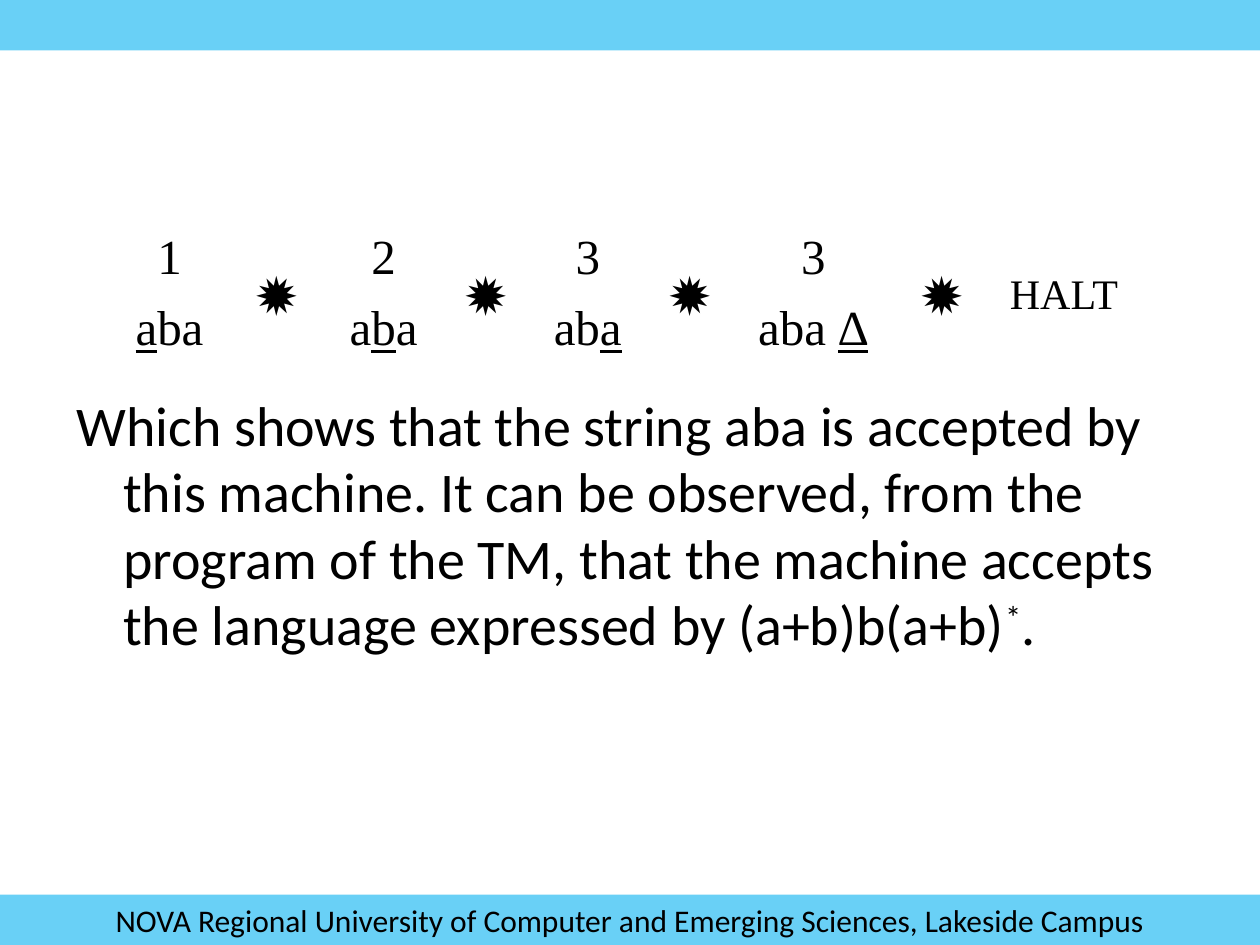
"""Build a slide tracing a Turing machine on the string aba."""
from dataclasses import dataclass

from lxml import etree
from pptx import Presentation
from pptx.dml.color import RGBColor
from pptx.enum.shapes import MSO_SHAPE
from pptx.enum.text import MSO_ANCHOR, PP_ALIGN
from pptx.oxml.ns import qn
from pptx.util import Inches, Pt

RECT = MSO_SHAPE.RECTANGLE
TOP, MIDDLE = MSO_ANCHOR.TOP, MSO_ANCHOR.MIDDLE
CENTER = PP_ALIGN.CENTER
NO_STYLE_NO_GRID = "{2D5ABB26-0587-4C30-8999-92F81FD0307C}"


@dataclass(frozen=True)
class Theme:
    bar: RGBColor = RGBColor(0x00, 0xB0, 0xF0)
    text: RGBColor = RGBColor(0, 0, 0)
    bar_alpha: int = 59000
    body_font: str = "Calibri"
    tape_font: str = "Times New Roman"
    footer: int = 18
    halt: int = 24
    tape: int = 28
    body: int = 32


THEME = Theme()


def add_run(p, text, font, size):
    r = p.add_run()
    r.text = text
    r.font.name = font
    r.font.size = Pt(size)
    r.font.color.rgb = THEME.text
    return r


def fill_cell(cell, parts, size, margin_top, line_spacing=0.86):
    cell.margin_top = Inches(margin_top)
    cell.vertical_anchor = TOP
    p = cell.text_frame.paragraphs[0]
    p.alignment = CENTER
    p.line_spacing = line_spacing
    for text, underlined in parts:
        add_run(p, text, THEME.tape_font, size).font.underline = underlined


prs = Presentation()
prs.slide_width, prs.slide_height = Inches(10), Inches(7.5)
s = prs.slides.add_slide(prs.slide_layouts[6])

for top in (0, 7.1):
    bar = s.shapes.add_shape(RECT, 0, Inches(top), prs.slide_width, Inches(0.4))
    bar.shadow.inherit = False
    bar.fill.solid()
    bar.fill.fore_color.rgb = THEME.bar
    bar.line.fill.background()
    color = next(bar.fill._xPr.iter(qn("a:srgbClr")))
    etree.SubElement(color, qn("a:alpha")).set("val", str(THEME.bar_alpha))

tf = bar.text_frame
tf.vertical_anchor = MIDDLE
p = tf.paragraphs[0]
p.alignment = CENTER
add_run(p, "NOVA Regional University of Computer and Emerging Sciences, Lakeside Campus",
        THEME.body_font, THEME.footer)

col_widths = [0.85, 0.85, 0.85, 0.77, 0.85, 0.77, 1.19, 0.85, 1.09]
row_heights = [0.57, 0.88]
steps = [
    ("1", [("a", True), ("ba", False)]),
    ("2", [("a", False), ("b", True), ("a", False)]),
    ("3", [("ab", False), ("a", True)]),
    ("3", [("aba ", False), ("∆", True)]),
]

table = s.shapes.add_table(2, len(col_widths), Inches(0.92), Inches(1.83),
                           Inches(sum(col_widths)), Inches(sum(row_heights))).table
table.first_row = False
table.horz_banding = False
table._tbl.tblPr.find(qn("a:tableStyleId")).text = NO_STYLE_NO_GRID
for col, width in zip(table.columns, col_widths):
    col.width = Inches(width)
for row, height in zip(table.rows, row_heights):
    row.height = Inches(height)
for cell in table.iter_cells():
    cell.fill.background()

for i, (state, tape) in enumerate(steps):
    col = 2 * i
    fill_cell(table.cell(0, col), [(state, False)], THEME.tape, 0.05)
    fill_cell(table.cell(1, col), tape, THEME.tape, 0.05)
    arrow = table.cell(0, col + 1)
    arrow.merge(table.cell(1, col + 1))
    fill_cell(arrow, [("✹", False)], THEME.body, 0.3, 0.96)

halt = table.cell(0, 8)
halt.merge(table.cell(1, 8))
fill_cell(halt, [("HALT", False)], THEME.halt, 0.37)

body = s.shapes.add_textbox(Inches(0.5), Inches(1.75), Inches(9), Inches(4.95))
tf = body.text_frame
tf.word_wrap = True
tf.margin_top = Inches(1.37)
p = tf.paragraphs[0]
p.line_spacing = 0.99
pPr = p._p.get_or_add_pPr()
pPr.set("marL", str(Inches(0.38)))
pPr.set("indent", str(Inches(-0.37)))
add_run(p, "Which shows that the string aba is accepted by this machine. "
           "It can be observed, from the program of the TM, that the machine "
           "accepts the language expressed by (a+b)b(a+b)", THEME.body_font, THEME.body)
star = add_run(p, "*", THEME.body_font, THEME.body)
star.font._element.set("baseline", "30000")
add_run(p, ".", THEME.body_font, THEME.body)

prs.save("out.pptx")
